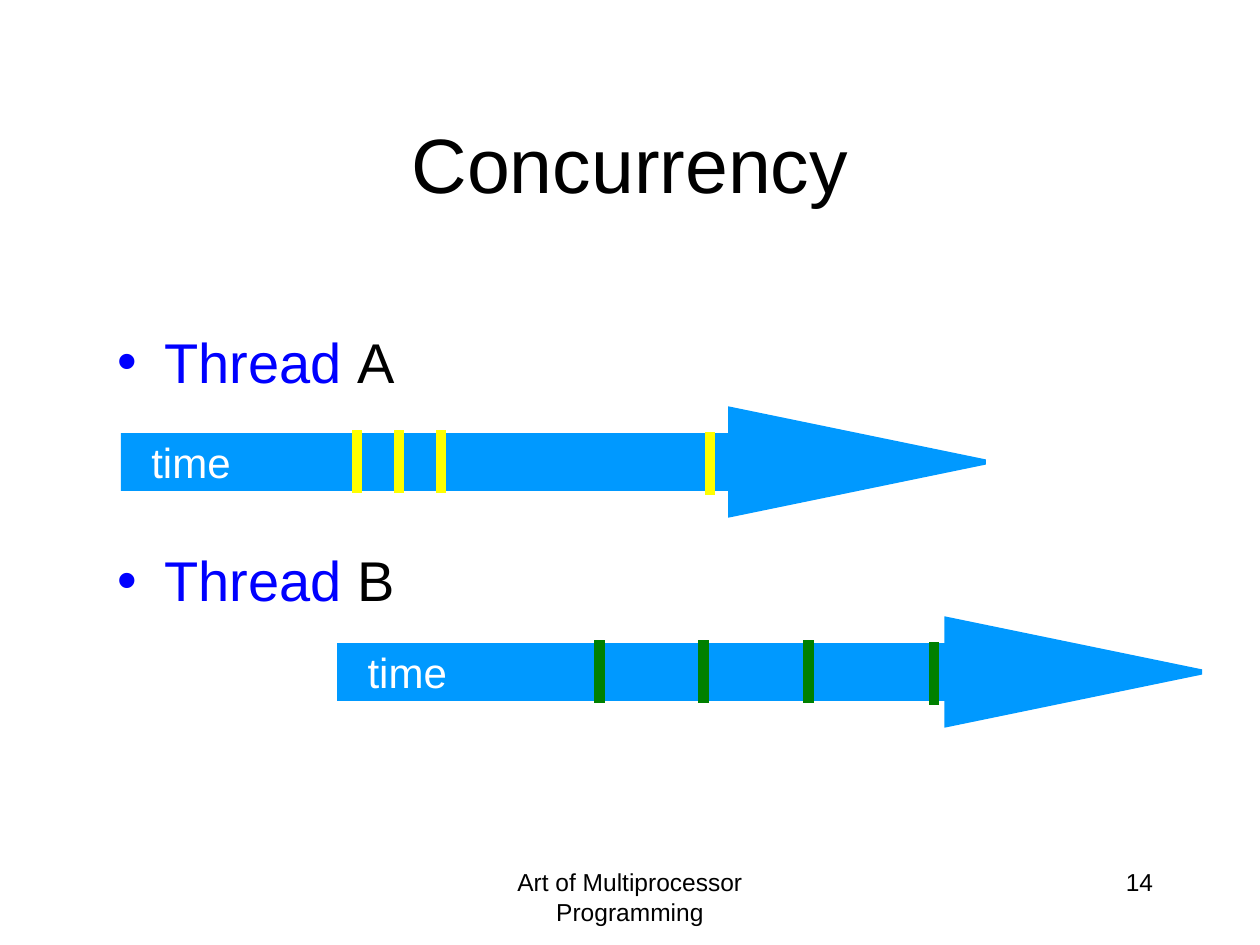
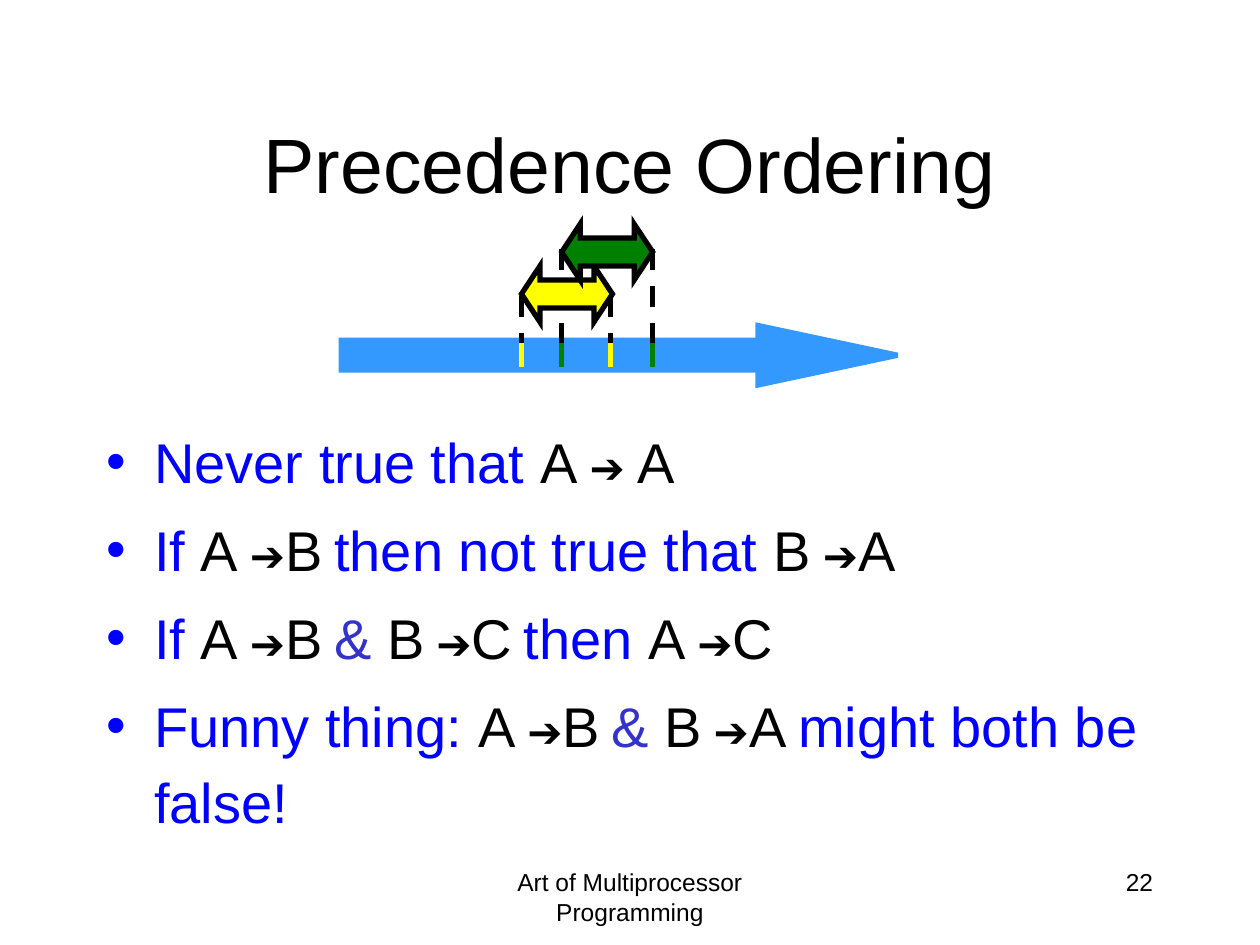
from lxml import etree
from pptx import Presentation
from pptx.dml.color import RGBColor
from pptx.enum.dml import MSO_LINE
from pptx.enum.shapes import MSO_CONNECTOR, MSO_SHAPE
from pptx.enum.text import MSO_ANCHOR, PP_ALIGN
from pptx.oxml.ns import qn
from pptx.util import Pt

LEFT, MID, RIGHT = PP_ALIGN.LEFT, PP_ALIGN.CENTER, PP_ALIGN.RIGHT
ARROW, DOUBLE = MSO_SHAPE.RIGHT_ARROW, MSO_SHAPE.LEFT_RIGHT_ARROW
BLACK, WHITE, BLUE, INDIGO = "000000", "FFFFFF", "0000FF", "3333CC"
YELLOW, GREEN, AZURE, SKY = "FFFF00", "008000", "0099FF", "3399FF"
FONT = "Arial"
FOOTER = "Art of Multiprocessor Programming"

# Slide 1: two threads, each with a time arrow and its events
THREADS = [[("Thread ", BLUE), ("A", BLACK)],
           [("Thread ", BLUE), ("B", BLACK)]]
TIMES = [  # arrow left, arrow top, event colour, event (x, y)
    (194.2, 354, GREEN,
     [(342.5, 365.8), (402, 365.8), (462, 365.8), (533.7, 367)]),
    (70.6, 234, YELLOW,
     [(204, 246), (228, 246), (252, 246), (405.8, 247)]),
]
EVENT = 36

# Slide 2: rules of precedence and two overlapping intervals
RULES = [
    [("Never true that ", BLUE), ("A ➔ A", BLACK)],
    [("If ", BLUE), ("A ➔B ", BLACK), ("then not true that ", BLUE),
     ("B ➔A", BLACK)],
    [("If ", BLUE), ("A ➔B ", BLACK), ("& ", INDIGO), ("B ➔C ", BLACK),
     ("then ", BLUE), ("A ➔C", BLACK)],
    [("Funny thing: ", BLUE), ("A ➔B ", BLACK), ("& ", INDIGO),
     ("B ➔A ", BLACK), ("might both be false!", BLUE)],
]
SPANS = [  # colour, left, right, arrow top, dash top
    (YELLOW, 298, 349, 152, 169),
    (GREEN, 321, 373, 128, 142.5),
]
MARK, BASE = 196, 210


def paint(hue):
    return RGBColor.from_string(hue)


def style(run, size, hue):
    run.font.name, run.font.size = FONT, Pt(size)
    run.font.color.rgb = paint(hue)


def frame(slide, box, wrap=True):
    text = slide.shapes.add_textbox(*map(Pt, box)).text_frame
    text.word_wrap = wrap
    return text


def label(slide, box, words, size, hue, align, wrap=True):
    text = frame(slide, box, wrap)
    text.text = words
    text.paragraphs[0].alignment = align
    style(text.paragraphs[0].runs[0], size, hue)
    return text


def pieces(words):
    """Split a formula: arrows and the spaces beside them are smaller."""
    if "➔" not in words:
        return [(words, 32)]
    head, tail = words.split(" ➔")
    parts = [(head, 32), (" ➔", 24), (tail.rstrip(), 32)]
    return parts + [(" ", 24)] if tail.endswith(" ") else parts


def bullets(slide, box, items, gap, inset, pitch=None):
    text = frame(slide, box)
    text.margin_top = Pt(inset)
    for i, item in enumerate(items):
        para = text.add_paragraph() if i else text.paragraphs[0]
        prop = para._p.get_or_add_pPr()
        prop.set("marL", str(Pt(27)))
        prop.set("indent", str(-Pt(27)))
        etree.SubElement(prop, qn("a:buFont")).set("typeface", FONT)
        etree.SubElement(prop, qn("a:buChar")).set("char", "•")
        para.alignment = LEFT
        if pitch:
            para.line_spacing = Pt(pitch)
        if i:
            para.space_before = Pt(gap)
        for words, hue in item:
            for part, size in pieces(words):
                run = para.add_run()
                run.text = part
                style(run, size, hue)


def block(slide, kind, box, head, fill, edge):
    shape = slide.shapes.add_shape(kind, *map(Pt, box))
    shape.shadow.inherit = False
    shape.adjustments[0], shape.adjustments[1] = 0.5, head
    shape.fill.solid()
    shape.fill.fore_color.rgb = paint(fill)
    shape.line.color.rgb = paint(edge)
    shape.line.width = Pt(3)
    miter = etree.SubElement(shape.line._get_or_add_ln(), qn("a:miter"))
    miter.set("lim", "800000")


def stroke(slide, x, top, end, hue, width, dash=False):
    line = slide.shapes.add_connector(
        MSO_CONNECTOR.STRAIGHT, Pt(x), Pt(top), Pt(x), Pt(end))
    line.line.color.rgb = paint(hue)
    line.line.width = Pt(width)
    if dash:
        line.line.dash_style = MSO_LINE.DASH
    etree.SubElement(line._element.spPr, qn("a:effectLst"))


def page(deck, title, number):
    slide = deck.slides.add_slide(deck.slide_layouts[6])
    label(slide, (246, 492, 228, 36), FOOTER, 14, BLACK, MID)
    label(slide, (516, 492, 150, 36), number, 14, BLACK, RIGHT)
    head = label(slide, (54, 48, 612, 90), title, 44, BLACK, MID)
    head.vertical_anchor = MSO_ANCHOR.MIDDLE
    return slide


def threads(deck):
    slide = page(deck, "Concurrency", "14")
    for left, top, hue, events in TIMES:
        block(slide, ARROW, (left, top, 492.5, 60), 2.425, AZURE, AZURE)
        label(slide, (left + 7.8, top + 12, 60.5, 36.5), "time", 24,
              WHITE, RIGHT, False)
        for x, y in events:
            stroke(slide, x, y, y + EVENT, hue, 6)
    bullets(slide, (60, 180, 612, 258), THREADS, 86.6, 7)


def order(deck):
    slide = page(deck, "Precedence Ordering", "22")
    block(slide, ARROW, (195, 186, 318, 34), 2.347, SKY, SKY)
    for hue, left, right, top, dash in SPANS[::-1]:
        for x in (left, right):
            stroke(slide, x, dash, MARK, BLACK, 3, True)
    for hue, left, right, top, dash in SPANS:
        block(slide, DOUBLE, (left, top, 52, 32), 0.33, hue, BLACK)
        for x in (left, right):
            stroke(slide, x, MARK, BASE, hue, 3)
    bullets(slide, (54, 239, 612, 222), RULES, 6.9, 0.3, 43.4)


def main():
    deck = Presentation()
    deck.slide_width, deck.slide_height = Pt(720), Pt(540)
    threads(deck)
    order(deck)
    deck.save("out.pptx")


if __name__ == "__main__":
    main()
